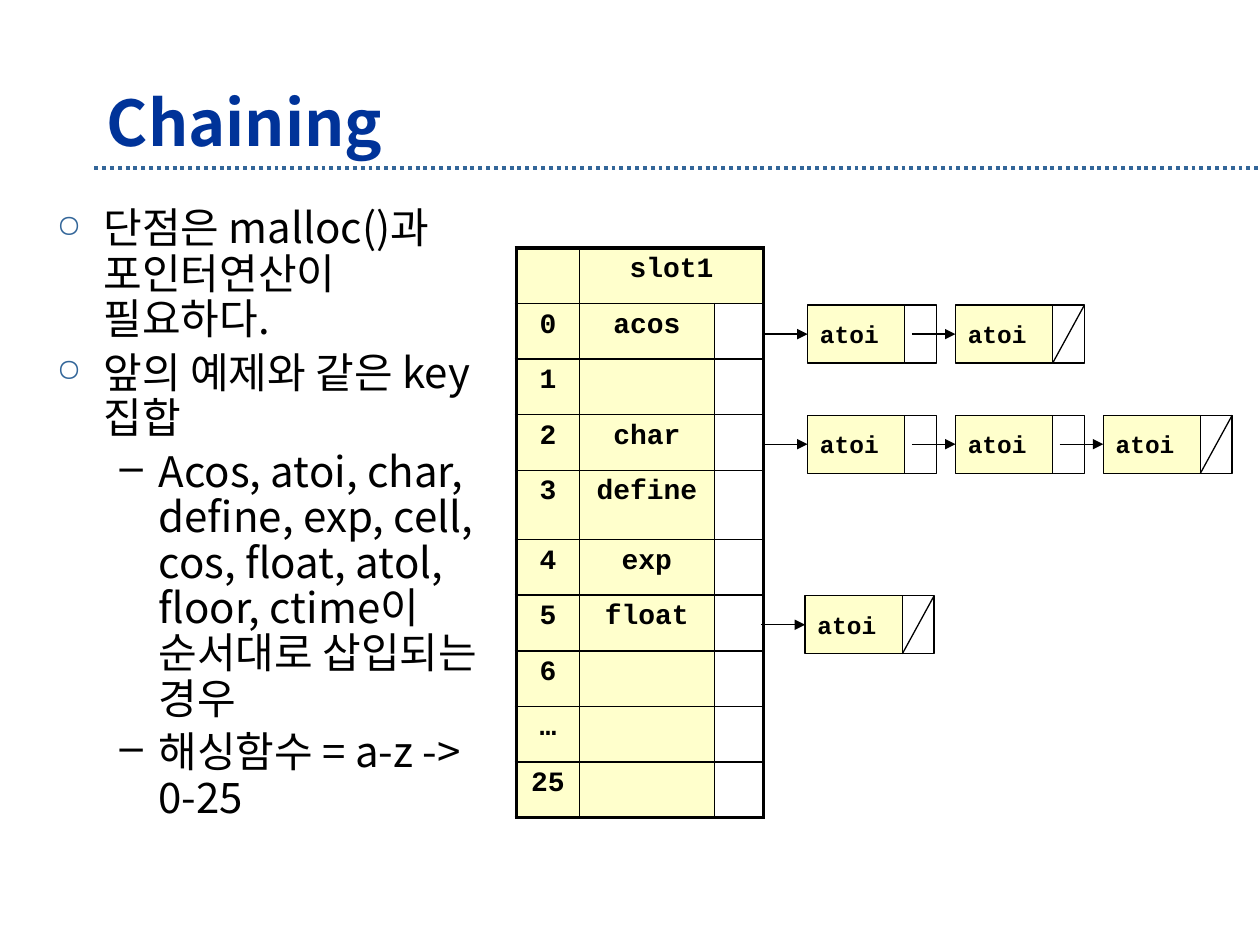
from pptx import Presentation
from pptx.dml.color import RGBColor
from pptx.enum.dml import MSO_LINE
from pptx.enum.shapes import MSO_CONNECTOR, MSO_SHAPE
from pptx.enum.text import MSO_ANCHOR, PP_ALIGN
from pptx.oxml.ns import qn
from pptx.util import Cm, Pt
from lxml import etree

LINE, RECT = MSO_CONNECTOR.STRAIGHT, MSO_SHAPE.RECTANGLE
MID, TOP = MSO_ANCHOR.MIDDLE, MSO_ANCHOR.TOP
LEFT, MIDDLE = PP_ALIGN.LEFT, PP_ALIGN.CENTER
DOTS = MSO_LINE.ROUND_DOT
SANS, MONO = "Noto Sans CJK KR", "Courier New"
BLACK, CREAM, NAVY, STEEL = "000000", "FFFFCC", "003399", "336699"

HEAD = "Chaining"
NOTES = [
    (0, "단점은 malloc()과 포인터연산이 필요하다."),
    (0, "앞의 예제와 같은 key 집합"),
    (1, "Acos, atoi, char, define, exp, cell, cos, float, atol, floor, "
        "ctime이 순서대로 삽입되는 경우"),
    (1, "해싱함수 = a-z -> 0-25"),
]
LEVELS = [
    {"indent": (0.95, -0.95), "mark": "○", "color": STEEL, "size": 75},
    {"indent": (2.06, -0.79), "mark": "–", "color": BLACK, "size": 100},
]
SLOTS = [("", "slot1"), ("0", "acos"), ("1", ""), ("2", "char"),
         ("3", "define"), ("4", "exp"), ("5", "float"), ("6", ""),
         ("…", ""), ("25", "")]
COLS, ROW, TALL = (1.27, 2.72, 0.99), 1.12, 1.4
CHAINS = [
    (16.28, 6.15, ["atoi", "atoi"]),
    (16.28, 8.37, ["atoi", "atoi", "atoi"]),
    (16.23, 12.01, ["atoi"]),
]
STEP, KEY, LINK, HIGH, REACH = 2.98, 1.96, 0.64, 1.17, 0.88

TITLE = {"size": Pt(36), "bold": True, "name": SANS}
BODY = {"size": Pt(24), "bold": False, "name": SANS}
CELL = {"size": Pt(16), "bold": True, "name": MONO}
NODE = {"size": Pt(14), "bold": True, "name": MONO}


def rgb(code):
    """Turn a hex string into a colour."""
    return RGBColor.from_string(code)


def add(root, tag, **attrs):
    """Append a drawing element with the given attributes."""
    return etree.SubElement(root, qn("a:" + tag),
                            {k: str(v) for k, v in attrs.items()})


def write(para, text, style, color=BLACK, align=LEFT):
    """Put one formatted run in a paragraph."""
    para.alignment = align
    run = para.add_run()
    run.text = text
    for key, value in style.items():
        setattr(run.font, key, value)
    run.font.color.rgb = rgb(color)
    add(run.font._element, "ea", typeface=style["name"])


def stroke(line, color=BLACK, width=0.75):
    """Set the colour and width of a line."""
    line.color.rgb = rgb(color)
    line.width = Pt(width)


def join(slide, x1, y1, x2, y2):
    """Draw a plain straight connector."""
    link = slide.shapes.add_connector(LINE, Cm(x1), Cm(y1), Cm(x2), Cm(y2))
    stroke(link.line)
    add(link._element.spPr, "effectLst")
    return link


def box(slide, x, y, wide, fill=None):
    """Draw one rectangle of a list node."""
    shape = slide.shapes.add_shape(RECT, Cm(x), Cm(y), Cm(wide), Cm(HIGH))
    shape.shadow.inherit = False
    stroke(shape.line)
    if fill:
        shape.fill.solid()
        shape.fill.fore_color.rgb = rgb(fill)
    else:
        shape.fill.background()
    return shape


def add_title(slide):
    """Fill the title and draw the dotted rule below it."""
    title = slide.shapes.title
    spots = {"left": 1.9, "top": 1.7, "width": 21.8, "height": 1.48}
    for key, value in spots.items():
        setattr(title, key, Cm(value))
    title.text_frame.vertical_anchor = MID
    write(title.text_frame.paragraphs[0], HEAD, TITLE, NAVY)
    rule = join(slide, 1.9, 3.39, 25.4, 3.39)
    stroke(rule.line, STEEL, 2.25)
    rule.line.dash_style = DOTS
    rule.line._ln.find(qn("a:prstDash")).set("val", "sysDot")


def add_notes(slide):
    """Write the bulleted notes."""
    area = slide.shapes.add_textbox(Cm(0.89), Cm(4.06), Cm(9.4), Cm(13.4))
    frame = area.text_frame
    frame.word_wrap = True
    for i, (level, text) in enumerate(NOTES):
        para = frame.add_paragraph() if i else frame.paragraphs[0]
        look = LEVELS[level]
        para.level = level
        para.line_spacing = 0.9
        para.space_before = Pt(4.8)
        write(para, text, BODY)
        props = para._p.get_or_add_pPr()
        for key, value in zip(("marL", "indent"), look["indent"]):
            props.set(key, str(Cm(value)))
        add(add(props, "buClr"), "srgbClr", val=look["color"])
        add(props, "buSzPct", val=look["size"] * 1000)
        add(props, "buChar", char=look["mark"])


def edge(cell, heavy):
    """Draw the four borders of a cell, the heavy sides thicker."""
    props = cell._tc.get_or_add_tcPr()
    for side in "LRTB":
        width = Pt(2.25 if side in heavy else 1)
        line = add(props, "ln" + side, w=int(width))
        add(add(line, "solidFill"), "srgbClr", val=BLACK)


def add_slots(slide):
    """Build the table of hash slots."""
    last = len(SLOTS) - 1
    table = slide.shapes.add_table(
        len(SLOTS), len(COLS), Cm(10.41), Cm(5), Cm(sum(COLS)),
        Cm(ROW * last + TALL)).table
    table.first_row = table.horz_banding = False
    for col, wide in zip(table.columns, COLS):
        col.width = Cm(wide)
    for r, slot in enumerate(SLOTS):
        table.rows[r].height = Cm(TALL if slot[0] == "3" else ROW)
        for c, text in enumerate((*slot, "")):
            cell = table.cell(r, c)
            cell.vertical_anchor = TOP
            heavy = ("T" if r == 0 else "B" if r == last else "")
            heavy += "L" if c == 0 else "R" if c == 2 or r == 0 else ""
            edge(cell, heavy)
            if c < 2:
                cell.fill.solid()
                cell.fill.fore_color.rgb = rgb(CREAM)
            else:
                cell.fill.background()
            if text:
                para = cell.text_frame.paragraphs[0]
                para.space_before = Pt(3.2)
                write(para, text, CELL, align=MIDDLE)
    table.cell(0, 1).merge(table.cell(0, 2))


def add_chain(slide, left, top, words):
    """Draw the linked nodes of one slot, the last link struck out."""
    for i, word in enumerate(words):
        x = left + i * STEP
        node = box(slide, x, top, KEY, CREAM)
        node.text_frame.word_wrap = False
        node.text_frame.vertical_anchor = MID
        write(node.text_frame.paragraphs[0], word, NODE)
        box(slide, x + KEY, top, LINK)
        mid = top + HIGH / 2
        arrow = join(slide, x - REACH, mid, x, mid)
        arrow.end_connect(node, 1)
        add(arrow.line._ln, "tailEnd", type="triangle")
    join(slide, x + KEY + LINK, top, x + KEY, top + HIGH)


def main():
    """Build the slide and save it."""
    deck = Presentation()
    deck.slide_width, deck.slide_height = Cm(25.4), Cm(19.05)
    slide = deck.slides.add_slide(deck.slide_layouts[5])
    add_title(slide)
    add_notes(slide)
    add_slots(slide)
    for chain in CHAINS:
        add_chain(slide, *chain)
    deck.save("out.pptx")


if __name__ == "__main__":
    main()
